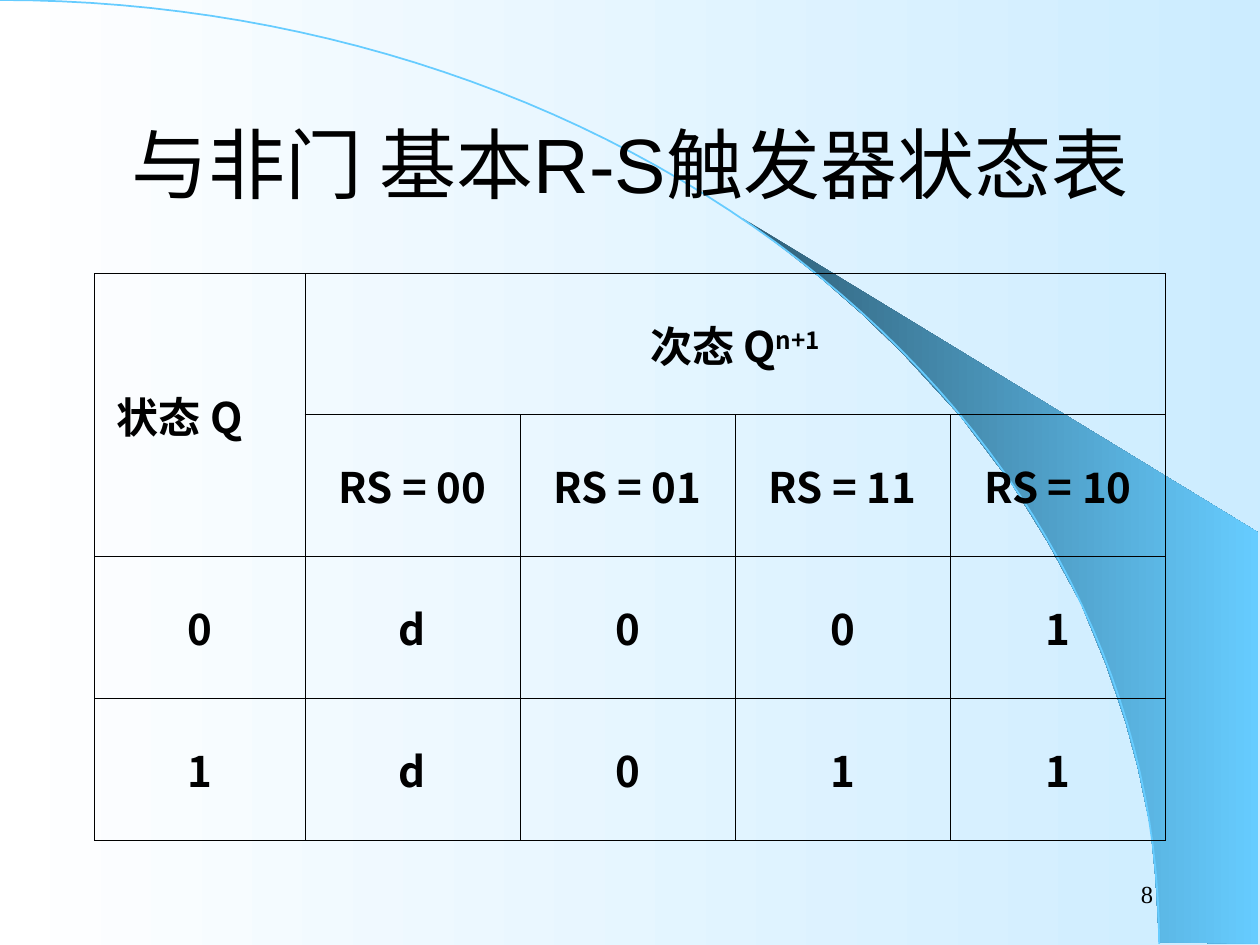
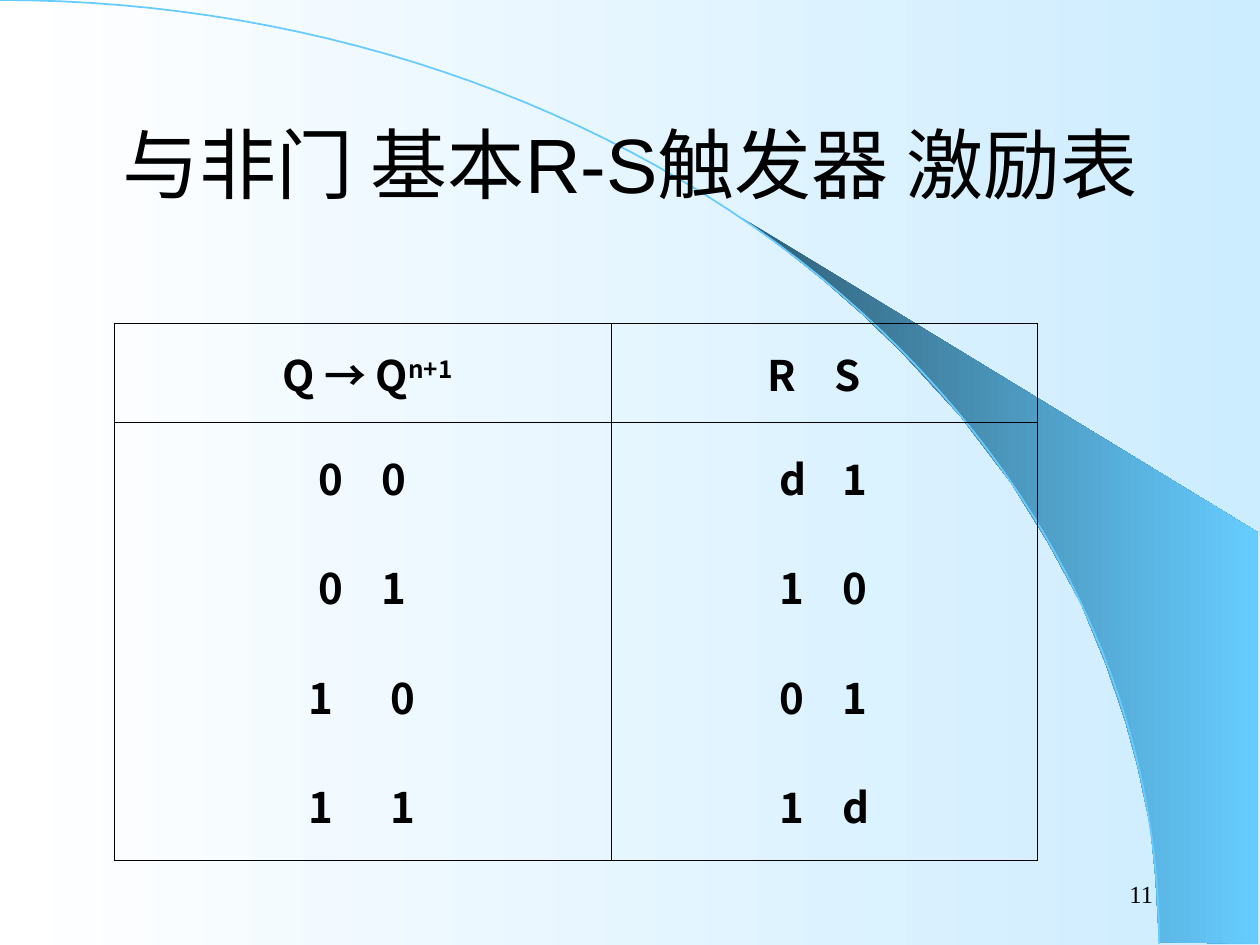
from dataclasses import dataclass
from math import cos, pi, sin

from lxml.etree import SubElement
from pptx import Presentation
from pptx.dml.color import RGBColor
from pptx.dml.fill import FillFormat
from pptx.enum.text import MSO_ANCHOR as Anchor, MSO_AUTO_SIZE as AutoSize, PP_ALIGN as Align
from pptx.oxml.ns import qn
from pptx.presentation import Presentation as Deck
from pptx.shapes.autoshape import Shape
from pptx.slide import Slide
from pptx.table import _Cell as TableCell
from pptx.text.text import _Paragraph as Paragraph
from pptx.util import Inches, Pt

COLORS = {
    "ink": "000000",
    "paper": "FFFFFF",
    "pale": "CCECFF",
    "sky": "66CCFF",
    "deep": "2F5E76",
}
CJK_FONT = "Noto Sans CJK SC"
TITLE_FONT = "Arial"
NUMBER_FONT = "Times New Roman"
ARC_WIDTH, ARC_HEIGHT = 9.2, 7.49
ARC_STEPS = 60
SWOOSH = [
    (9.2, 7.48), (9.99, 7.49), (9.99, 4.23), (5.89, 1.73), (6.24, 1.99), (6.53, 2.22),
    (6.85, 2.5), (7.16, 2.8), (7.62, 3.3), (8.03, 3.84), (8.32, 4.31), (8.58, 4.79),
    (8.78, 5.28), (8.93, 5.72), (9.03, 6.09), (9.13, 6.56), (9.17, 6.96),
]


@dataclass(frozen=True)
class Entry:
    text: str
    superscript: str = ""
    align: Align = Align.CENTER
    borders: str = "LRTB"
    indent: float = 0
    tab: float = 0


@dataclass(frozen=True)
class Grid:
    left: float
    top: float
    columns: list[float]
    rows: list[float]
    entries: list[list[Entry]]


def rgb(name: str) -> RGBColor:
    return RGBColor.from_string(COLORS[name])


def set_gradient(fill: FillFormat, first: str, last: str) -> None:
    fill.gradient()
    fill.gradient_angle = 0
    for stop, name in zip(fill.gradient_stops, (first, last)):
        stop.color.rgb = rgb(name)


def add_span(para: Paragraph, text: str, font: str, size: float,
             bold: bool = False, raised: bool = False) -> None:
    span = para.add_run()
    span.text = text
    span.font.name = font
    span.font.size = Pt(size)
    span.font.bold = bold
    span.font.color.rgb = rgb("ink")
    properties = span.font._element
    SubElement(properties, qn("a:ea")).set("typeface", CJK_FONT)
    if raised:
        properties.set("baseline", "30000")


def add_outline(page: Slide, points: list[tuple[float, float]], close: bool) -> Shape:
    corners = [(Inches(x), Inches(y)) for x, y in points]
    builder = page.shapes.build_freeform(*corners[0])
    builder.add_line_segments(corners[1:], close=close)
    shape = builder.convert_to_shape()
    shape.shadow.inherit = False
    return shape


def add_decoration(page: Slide) -> None:
    swoosh = add_outline(page, SWOOSH, True)
    set_gradient(swoosh.fill, "deep", "sky")
    swoosh.line.fill.background()

    angles = [step * pi / 2 / ARC_STEPS for step in range(ARC_STEPS + 1)]
    curve = [(ARC_WIDTH * sin(angle), ARC_HEIGHT * (1 - cos(angle))) for angle in angles]
    arc = add_outline(page, curve, False)
    arc.fill.background()
    arc.line.color.rgb = rgb("sky")
    arc.line.width = Pt(1)


def add_title(page: Slide, text: str) -> None:
    title = page.shapes.title
    title.left, title.top = Inches(0.75), Inches(0.67)
    title.width, title.height = Inches(8.5), Inches(1.25)
    page.shapes.element.append(title.element)
    frame = title.text_frame
    frame.auto_size = AutoSize.NONE
    frame.word_wrap = True
    frame.vertical_anchor = Anchor.MIDDLE
    para = frame.paragraphs[0]
    para.alignment = Align.CENTER
    add_span(para, text, TITLE_FONT, 44)


def add_page_number(page: Slide, number: int) -> None:
    box = page.shapes.add_textbox(Inches(7.17), Inches(6.84), Inches(2.08), Inches(0.5))
    frame = box.text_frame
    frame.word_wrap = True
    frame.vertical_anchor = Anchor.MIDDLE
    para = frame.paragraphs[0]
    para.alignment = Align.RIGHT
    add_span(para, str(number), NUMBER_FONT, 14)


def set_borders(cell: TableCell, sides: str) -> None:
    properties = cell._tc.get_or_add_tcPr()
    for index, side in enumerate("LRTB"):
        line = SubElement(properties, qn(f"a:ln{side}"))
        properties.insert(index, line)
        if side in sides:
            line.set("w", str(Pt(0.45)))
            fill = SubElement(line, qn("a:solidFill"))
            SubElement(fill, qn("a:srgbClr")).set("val", COLORS["ink"])
        else:
            SubElement(line, qn("a:noFill"))


def set_tab(para: Paragraph, position: float) -> None:
    tabs = SubElement(para._p.get_or_add_pPr(), qn("a:tabLst"))
    tab = SubElement(tabs, qn("a:tab"))
    tab.set("pos", str(Inches(position)))
    tab.set("algn", "l")


def fill_cell(cell: TableCell, entry: Entry) -> None:
    cell.fill.background()
    set_borders(cell, entry.borders)
    cell.vertical_anchor = Anchor.MIDDLE
    cell.margin_left = Inches(0.1 + entry.indent)
    if not entry.text:
        return
    para = cell.text_frame.paragraphs[0]
    para.alignment = entry.align
    if entry.tab:
        set_tab(para, entry.tab)
    add_span(para, entry.text, CJK_FONT, 24, bold=True)
    if entry.superscript:
        add_span(para, entry.superscript, CJK_FONT, 24, bold=True, raised=True)


def add_grid(page: Slide, grid: Grid, merges: list[tuple[int, int, int, int]]) -> None:
    table = page.shapes.add_table(
        len(grid.rows), len(grid.columns), Inches(grid.left), Inches(grid.top),
        Inches(sum(grid.columns)), Inches(sum(grid.rows))).table
    table.first_row = False
    table.horz_banding = False
    for column, width in zip(table.columns, grid.columns):
        column.width = Inches(width)
    for row, height in zip(table.rows, grid.rows):
        row.height = Inches(height)
    for row_index, entries in enumerate(grid.entries):
        for column_index, entry in enumerate(entries):
            fill_cell(table.cell(row_index, column_index), entry)
    for top, left, bottom, right in merges:
        table.cell(top, left).merge(table.cell(bottom, right))


def pair(first: str, second: str, indent: float, tab: float, borders: str = "LRTB") -> Entry:
    return Entry(f"{first}\t{second}", align=Align.LEFT, borders=borders, indent=indent, tab=tab)


def state_grid() -> Grid:
    blank = Entry("")
    first_width, first_height = 1.67, 1.12
    header = [Entry(" 状态 Q", align=Align.LEFT), Entry("次态 Q", "n+1"), blank, blank, blank]
    inputs = [blank] + [Entry(f"RS = {value}") for value in ("00", "01", "11", "10")]
    states = [[Entry(value) for value in row] for row in ("0d001", "1d011")]
    return Grid(0.75, 2.17, [first_width] + [(8.5 - first_width) / 4] * 4,
                [first_height] + [(4.5 - first_height) / 3] * 3, [header, inputs, *states])


def excitation_grid() -> Grid:
    header_height = 0.78
    transitions = [("00", "d1"), ("01", "10"), ("10", "01"), ("11", "1d")]
    entries = [[Entry(" Q → Q", "n+1"), pair("R", "S", 1.14, 0.53)]]
    for index, (states, inputs) in enumerate(transitions):
        borders = "LR" + ("T" if index == 0 else "") + ("B" if index == 3 else "")
        indent, tab = (1.52, 0.5) if states[0] == "0" else (1.44, 0.65)
        entries.append([pair(*states, indent, tab, borders), pair(*inputs, 1.24, 0.5, borders)])
    return Grid(0.91, 2.57, [3.94, 3.38], [header_height] + [(4.26 - header_height) / 4] * 4,
                entries)


def add_page(deck: Deck, title: str, number: int) -> Slide:
    page = deck.slides.add_slide(deck.slide_layouts.get_by_name("Title Only"))
    add_decoration(page)
    add_page_number(page, number)
    add_title(page, title)
    return page


def main() -> None:
    deck = Presentation()
    deck.slide_width, deck.slide_height = Inches(10), Inches(7.5)
    set_gradient(deck.slide_master.background.fill, "paper", "pale")

    state_page = add_page(deck, "与非门 基本R-S触发器状态表", 8)
    add_grid(state_page, state_grid(), [(0, 0, 1, 0), (0, 1, 0, 4)])

    excitation_page = add_page(deck, "与非门 基本R-S触发器 激励表", 11)
    add_grid(excitation_page, excitation_grid(), [])

    deck.save("out.pptx")


if __name__ == "__main__":
    main()
